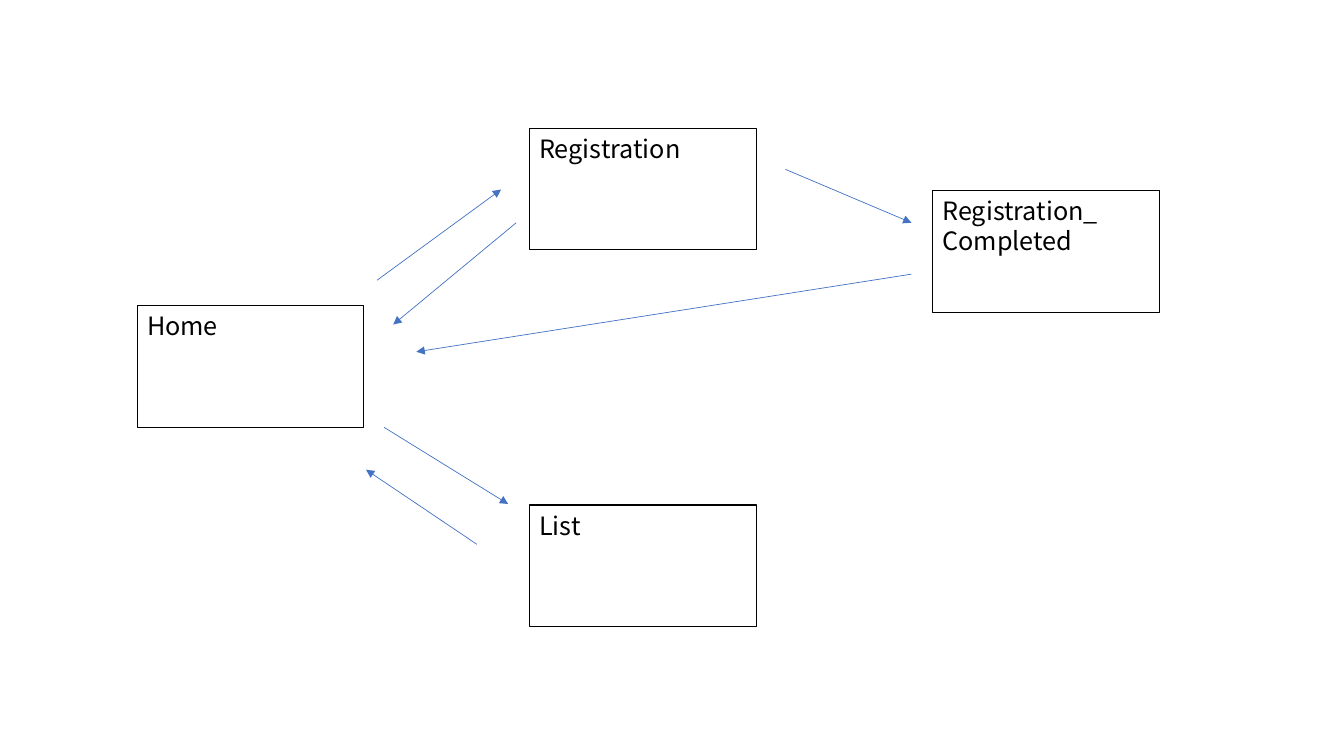
from lxml.etree import SubElement
from pptx import Presentation
from pptx.dml.color import RGBColor
from pptx.enum.shapes import MSO_CONNECTOR, MSO_SHAPE
from pptx.enum.text import MSO_ANCHOR, PP_ALIGN
from pptx.oxml.ns import qn
from pptx.util import Inches, Pt

BLACK = RGBColor(0x00, 0x00, 0x00)
BLUE = RGBColor(0x44, 0x72, 0xC4)
FONT = "Noto Sans CJK JP"
BOX_WIDTH, BOX_HEIGHT = 2.25, 1.21

SCREENS = [
    ("Home", 1.36, 3.03),
    ("Registration", 5.25, 1.27),
    ("Registration_ Completed", 9.25, 1.89),
    ("List", 5.25, 5.01),
]

TRANSITIONS = [
    ((3.74, 2.78), (4.97, 1.88)),
    ((5.12, 2.21), (3.9, 3.22)),
    ((3.81, 4.24), (5.04, 5)),
    ((4.73, 5.4), (3.63, 4.66)),
    ((7.79, 1.68), (9.04, 2.21)),
    ((9.04, 2.72), (4.13, 3.49)),
]


def write_text(shape, text, size=18, color=BLACK, alignment=PP_ALIGN.LEFT):
    frame = shape.text_frame
    frame.word_wrap = True
    frame.vertical_anchor = MSO_ANCHOR.TOP
    paragraph = frame.paragraphs[0]
    paragraph.alignment = alignment
    run = paragraph.add_run()
    run.text = text
    run.font.name = FONT
    run.font.size = Pt(size)
    run.font.color.rgb = color


def add_screen(slide, name, left, top):
    shape = slide.shapes.add_shape(
        MSO_SHAPE.RECTANGLE, Inches(left), Inches(top),
        Inches(BOX_WIDTH), Inches(BOX_HEIGHT))
    shape.shadow.inherit = False
    shape.fill.background()
    shape.line.color.rgb = BLACK
    shape.line.width = Pt(0.75)
    write_text(shape, name)


def add_arrow(slide, start, end):
    points = [Inches(value) for value in (*start, *end)]
    connector = slide.shapes.add_connector(MSO_CONNECTOR.STRAIGHT, *points)
    connector.line.color.rgb = BLUE
    connector.line.width = Pt(0.5)
    line = connector._element.spPr.find(qn("a:ln"))
    SubElement(line, qn("a:tailEnd"), type="triangle")
    SubElement(connector._element.spPr, qn("a:effectLst"))


def main():
    presentation = Presentation()
    presentation.slide_width = Inches(13.33)
    presentation.slide_height = Inches(7.5)
    slide = presentation.slides.add_slide(presentation.slide_layouts[6])
    for name, left, top in SCREENS:
        add_screen(slide, name, left, top)
    for start, end in TRANSITIONS:
        add_arrow(slide, start, end)
    presentation.save("out.pptx")


main()
